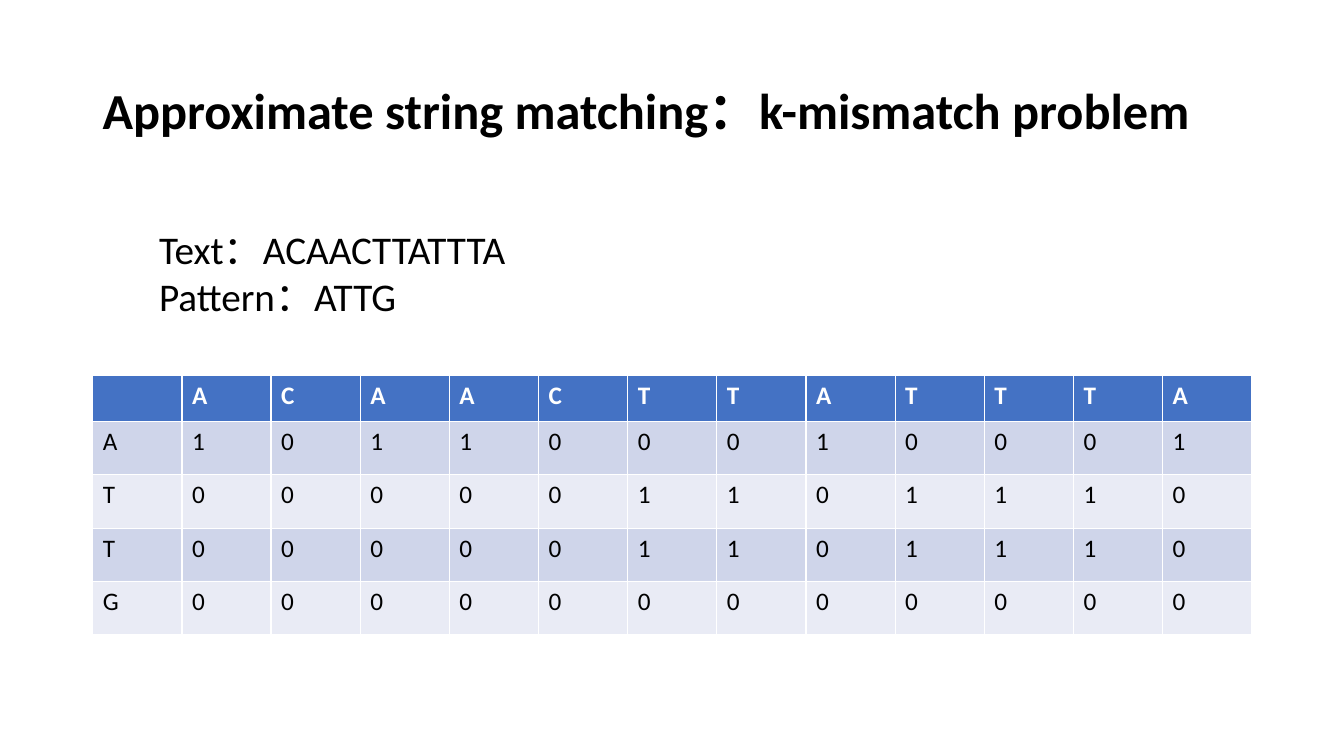
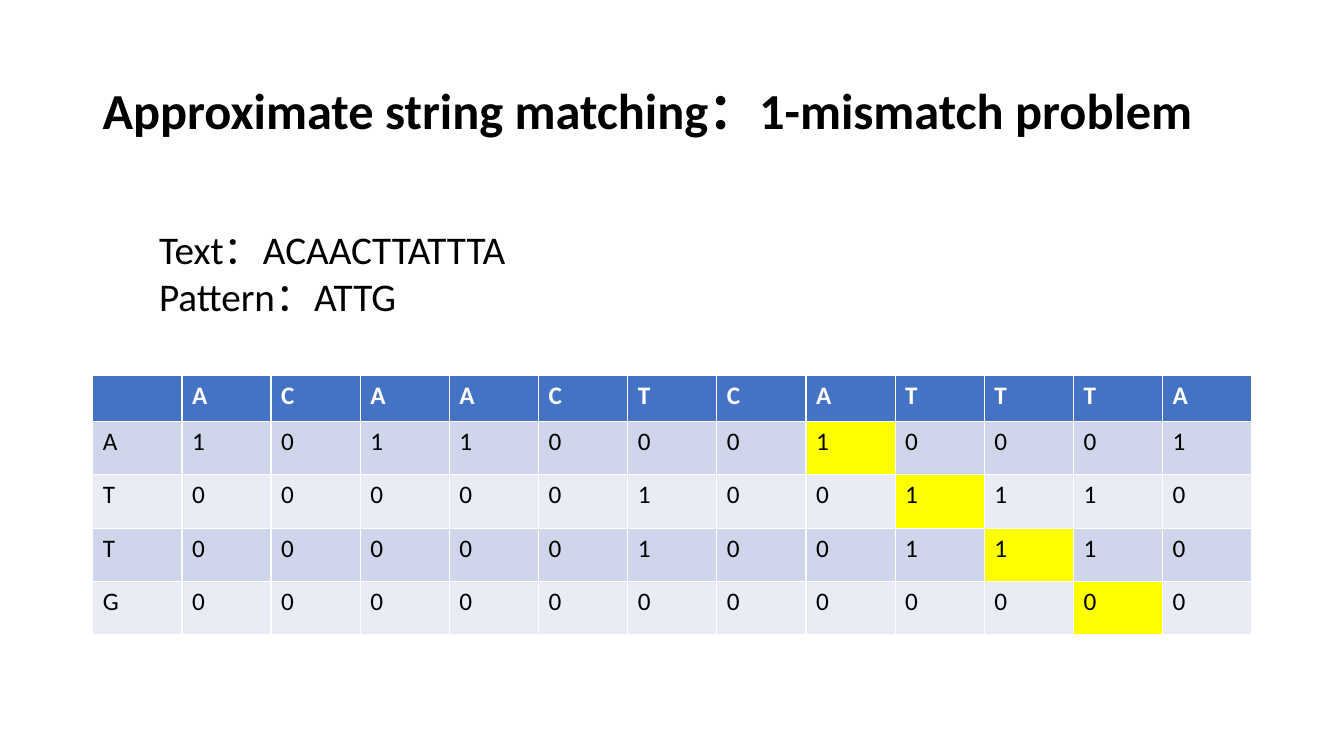
import pptx
import pptx.dml.color
import pptx.enum.text
import pptx.util

Inches = pptx.util.Inches
Pt = pptx.util.Pt
RGBColor = pptx.dml.color.RGBColor

BLACK = RGBColor(0x00, 0x00, 0x00)
WHITE = RGBColor(0xFF, 0xFF, 0xFF)
HEADER_BLUE = RGBColor(0x44, 0x72, 0xC4)
BANDS = [RGBColor(0xCF, 0xD5, 0xEA), RGBColor(0xE9, 0xEB, 0xF5)]
HIGHLIGHT = RGBColor(0xFF, 0xFF, 0x00)
FONT = "Calibri"
PATTERN = "ATTG"
PROBLEMS = [
    ("Approximate string matching：k-mismatch problem", "ACAACTTATTTA", None),
    ("Approximate string matching：1-mismatch problem", "ACAACTCATTTA", 7),
]


def style_paragraph(paragraph, size, color=BLACK, bold=False):
    paragraph.font.name = FONT
    paragraph.font.size = Pt(size)
    paragraph.font.bold = bold
    paragraph.font.color.rgb = color


def add_text(slide, text, left, top, width, height, size, bold=False):
    text_frame = slide.shapes.add_textbox(
        Inches(left), Inches(top), Inches(width), Inches(height)
    ).text_frame
    text_frame.word_wrap = True
    text_frame.text = text
    for paragraph in text_frame.paragraphs:
        style_paragraph(paragraph, size, bold=bold)
    return text_frame


presentation = pptx.Presentation()
presentation.slide_width = Inches(13.33)
presentation.slide_height = Inches(7.5)

for title, header, match_start in PROBLEMS:
    slide = presentation.slides.add_slide(presentation.slide_layouts[6])

    title_frame = add_text(slide, title, 0.92, 0.4, 11.5, 1.45, 36, bold=True)
    title_frame.vertical_anchor = pptx.enum.text.MSO_ANCHOR.MIDDLE
    title_frame.paragraphs[0].line_spacing = 0.9

    rows = [[""] + list(header)]
    for letter in PATTERN:
        rows.append([letter] + [str(int(letter == other)) for other in header])

    table = slide.shapes.add_table(
        len(rows), len(rows[0]), Inches(0.92), Inches(3.72), Inches(11.5), Inches(2.58)
    ).table
    for row_index, values in enumerate(rows):
        is_header = row_index == 0
        table.rows[row_index].height = Inches(0.46 if is_header else 0.53)
        for column_index, value in enumerate(values):
            cell = table.cell(row_index, column_index)
            cell.text = value
            style_paragraph(
                cell.text_frame.paragraphs[0], 18, WHITE if is_header else BLACK, is_header
            )
            cell.fill.solid()
            if is_header:
                cell.fill.fore_color.rgb = HEADER_BLUE
            elif match_start is not None and column_index == match_start + row_index:
                cell.fill.fore_color.rgb = HIGHLIGHT
            else:
                cell.fill.fore_color.rgb = BANDS[(row_index - 1) % 2]

    add_text(slide, f"Text：ACAACTTATTTA\nPattern：{PATTERN}", 1.48, 2.19, 4.6, 1.04, 28)

presentation.save("out.pptx")
